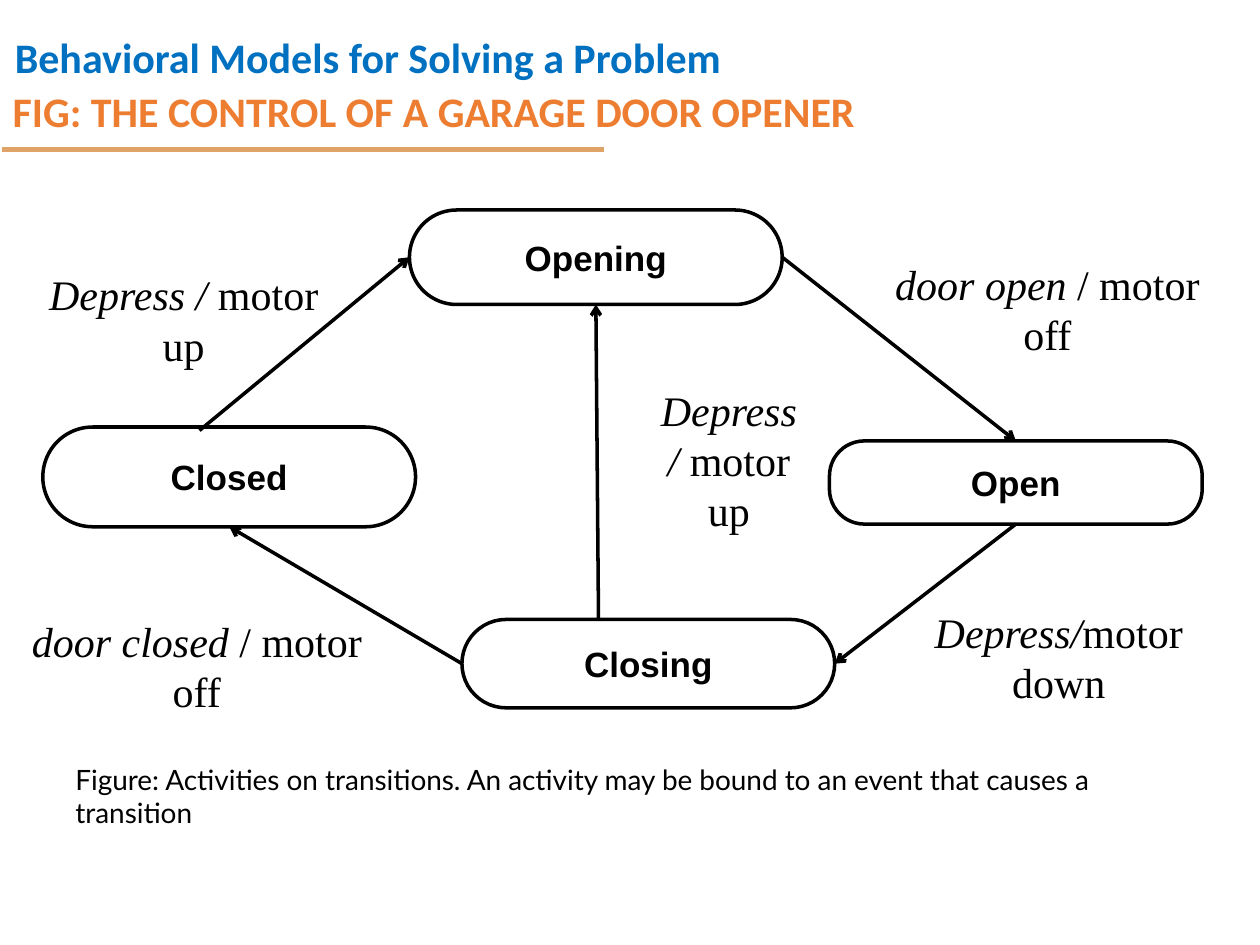
from lxml import etree
from pptx import Presentation
from pptx.dml.color import RGBColor
from pptx.enum.shapes import MSO_CONNECTOR, MSO_SHAPE
from pptx.enum.text import MSO_ANCHOR, MSO_AUTO_SIZE, PP_ALIGN
from pptx.oxml.ns import qn
from pptx.util import Pt

STRAIGHT = MSO_CONNECTOR.STRAIGHT
ROUNDED = MSO_SHAPE.ROUNDED_RECTANGLE
MIDDLE, TOP_ANCHOR = MSO_ANCHOR.MIDDLE, MSO_ANCHOR.TOP
LEFT_ALIGN, CENTER = PP_ALIGN.LEFT, PP_ALIGN.CENTER
NO_FIT, GROW = MSO_AUTO_SIZE.NONE, MSO_AUTO_SIZE.SHAPE_TO_FIT_TEXT
TOP, LEFT, BOTTOM, RIGHT = range(4)
BLACK = "000000"


def write_text(shape, *paragraphs, font="Calibri", size=24, color=BLACK, bold=False,
               align=LEFT_ALIGN, anchor=TOP_ANCHOR, fit=GROW, spacing=None):
    frame = shape.text_frame
    frame.word_wrap = True
    frame.auto_size = fit
    frame.vertical_anchor = anchor
    for index, runs in enumerate(paragraphs):
        paragraph = frame.add_paragraph() if index else frame.paragraphs[0]
        paragraph.alignment = align
        if spacing:
            paragraph.line_spacing = spacing
        for text, italic in runs:
            run = paragraph.add_run()
            run.text = text
            run.font.name = font
            run.font.size = Pt(size)
            run.font.bold = bold
            run.font.italic = italic
            run.font.color.rgb = RGBColor.from_string(color)


def draw_line(start, end, color=BLACK, width=2, arrow=True):
    line = slide.shapes.add_connector(STRAIGHT, *map(Pt, start + end))
    line.line.color.rgb = RGBColor.from_string(color)
    line.line.width = Pt(width)
    if arrow:
        etree.SubElement(line.line._get_or_add_ln(), qn("a:tailEnd"), type="arrow")
    etree.SubElement(line._element.spPr, qn("a:effectLst"))
    return line


presentation = Presentation()
presentation.slide_width, presentation.slide_height = Pt(720), Pt(540)
slide = presentation.slides.add_slide(presentation.slide_layouts[5])

title = slide.shapes.title
title.left, title.top, title.width, title.height = map(Pt, (0, 54, 672, 18))
write_text(title, [("FIG: THE CONTROL OF A GARAGE DOOR OPENER", False)],
           color="ED7D31", bold=True, anchor=MIDDLE, fit=NO_FIT)

heading = slide.shapes.add_textbox(*map(Pt, (1.4, 0, 533, 51)))
write_text(heading, [("Behavioral Models for Solving a Problem", False)],
           color="0070C0", bold=True, spacing=1.5)
draw_line((1.4, 85.5), (345, 85.5), color="DFA267", width=3, arrow=False)

states = {}
for name, left, top, height, rounding in [
    ("Opening", 234, 120, 54, 0.5),
    ("Closed", 24.5, 244, 57, 0.5),
    ("Closing", 264, 354, 50.5, 0.5),
    ("Open", 474, 252, 47.5, 0.42),
]:
    state = slide.shapes.add_shape(ROUNDED, *map(Pt, (left, top, 213, height)))
    state.adjustments[0] = rounding
    state.shadow.inherit = False
    state.fill.background()
    state.line.color.rgb = RGBColor.from_string(BLACK)
    state.line.width = Pt(2)
    write_text(state, [(name, False)], font="Arial", size=20, bold=True,
               align=CENTER, anchor=MIDDLE, fit=NO_FIT)
    states[name] = state

for source, source_side, target, target_side in [
    ("Opening", RIGHT, "Open", TOP),
    ("Open", BOTTOM, "Closing", RIGHT),
    ("Closing", LEFT, "Closed", BOTTOM),
]:
    transition = draw_line((0, 0), (0, 0))
    transition.begin_connect(states[source], source_side)
    transition.end_connect(states[target], target_side)

for start, side in [((114, 246), LEFT), ((342, 354), BOTTOM)]:
    transition = draw_line(start, start)
    transition.end_connect(states["Opening"], side)

for left, top, width, height, paragraphs in [
    (18, 150, 174, 51, [[("Depress / ", True), ("motor up", False)]]),
    (0, 348, 225, 51, [[("door closed", True), (" / motor off", False)]]),
    (512, 343, 186, 51, [[("Depress/", True), ("motor down", False)]]),
    (498, 144, 201, 51, [[("door open", True), (" / motor off", False)]]),
    (366, 216, 101, 75, [[("Depress", True)], [("/ ", True), ("motor up", False)]]),
]:
    label = slide.shapes.add_textbox(*map(Pt, (left, top, width, height)))
    write_text(label, *paragraphs, font="Times New Roman", align=CENTER)

caption = slide.shapes.add_textbox(*map(Pt, (36, 432, 630, 46)))
write_text(caption, [("Figure: Activities on transitions. An activity may be bound to "
                      "an event that causes a transition", False)], font="Lato", size=16)

presentation.save("out.pptx")
